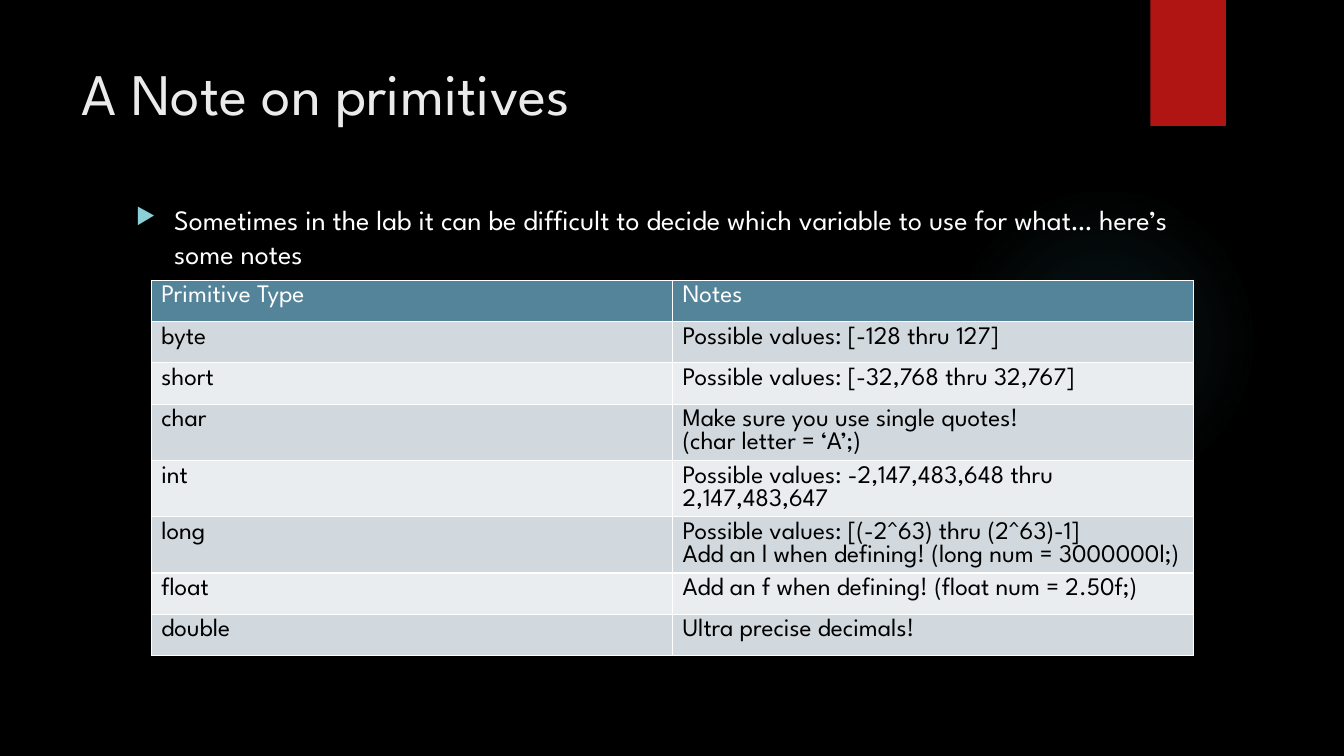
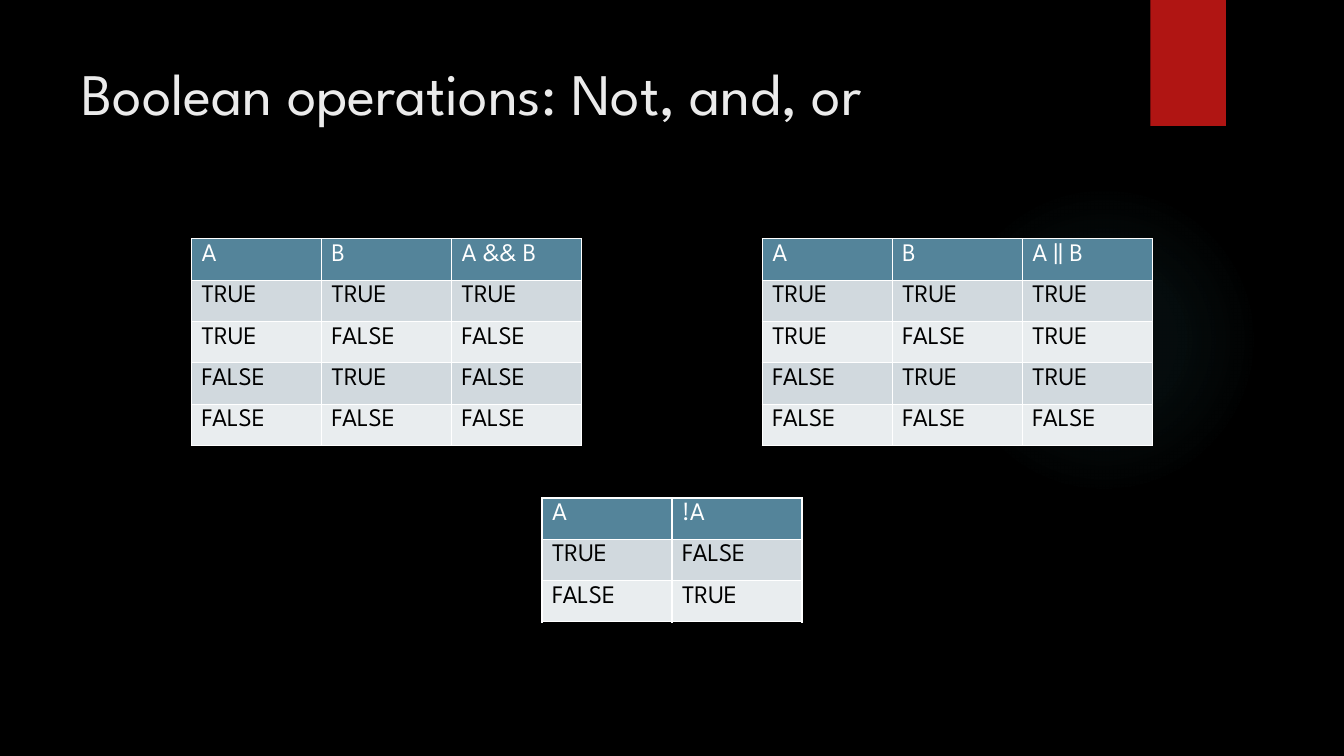
from dataclasses import dataclass

from lxml import etree
from pptx import Presentation
from pptx.dml.color import RGBColor
from pptx.enum.shapes import MSO_SHAPE
from pptx.enum.text import MSO_ANCHOR, MSO_AUTO_SIZE, PP_ALIGN
from pptx.oxml.ns import qn
from pptx.util import Inches, Pt

ELLIPSE, RECTANGLE = MSO_SHAPE.OVAL, MSO_SHAPE.RECTANGLE
TOP, LEFT, NO_FIT = MSO_ANCHOR.TOP, PP_ALIGN.LEFT, MSO_AUTO_SIZE.NONE

FONT = "League Spartan"
COLORS = {
    "background": "000000",
    "glow": "50B9C1",
    "ribbon": "B01513",
    "title": "EBEBEB",
    "light": "FFFFFF",
    "dark": "000000",
    "bullet": "8AD0D6",
    "header": "54849A",
    "odd row": "D1D9DE",
    "even row": "E9EDEF",
}
SLIDE_WIDTH, SLIDE_HEIGHT = 13.33, 7.5
ROW_HEIGHT = 0.41
TRUTH_COLUMN = 1.29
TRUTH_MARGIN = 1.9
TITLE_ONLY = 5


@dataclass(frozen=True)
class TextStyle:
    size: float
    leading: float
    color: str


@dataclass(frozen=True)
class Grid:
    left: float
    top: float
    column_width: float
    rows: tuple[tuple[str, ...], ...]


TITLE = TextStyle(42, 51, "title")
BODY = TextStyle(20, 24.3, "light")
HEADER_CELL = TextStyle(18, 16.5, "light")
BODY_CELL = TextStyle(18, 16.5, "dark")

PRIMITIVES = (
    ("Primitive Type", "Notes"),
    ("byte", "Possible values: [-128 thru 127]"),
    ("short", "Possible values: [-32,768 thru 32,767]"),
    ("char", "Make sure you use single quotes!\n(char letter = ‘A’;)"),
    ("int", "Possible values: -2,147,483,648 thru 2,147,483,647"),
    ("long", "Possible values: [(-2^63) thru (2^63)-1]\n"
             "Add an l when defining! (long num = 3000000l;)"),
    ("float", "Add an f when defining! (float num = 2.50f;)"),
    ("double", "Ultra precise decimals!"),
)


def rgb(name: str) -> RGBColor:
    return RGBColor.from_string(COLORS[name])


def add_xml(parent, tag: str, **attributes: str):
    return etree.SubElement(parent, qn(tag), attributes)


def write_text(frame, text: str, style: TextStyle) -> None:
    """Write one paragraph per line of text."""
    frame.word_wrap = True
    for index, line in enumerate(text.split("\n")):
        para = frame.add_paragraph() if index else frame.paragraphs[0]
        para.alignment = LEFT
        para.line_spacing = Pt(style.leading)
        span = para.add_run()
        span.text = line
        span.font.name = FONT
        span.font.size = Pt(style.size)
        span.font.color.rgb = rgb(style.color)


def add_plain_shape(page, kind, left: float, top: float, width: float, height: float):
    shape = page.shapes.add_shape(
        kind, Inches(left), Inches(top), Inches(width), Inches(height))
    shape.shadow.inherit = False
    shape.line.fill.background()
    return shape


def add_glow(page) -> None:
    glow = add_plain_shape(page, ELLIPSE, 9.41, 1.83, 3.08, 3.08)
    glow.fill.background()
    properties = glow.fill._xPr
    empty_fill = properties.find(qn("a:noFill"))
    gradient = etree.Element(qn("a:gradFill"), {"rotWithShape": "1"})
    stops = add_xml(gradient, "a:gsLst")
    for position, alpha in ((0, 7), (36, 6), (69, 0), (100, 0)):
        stop = add_xml(stops, "a:gs", pos=str(position * 1000))
        color = add_xml(stop, "a:srgbClr", val=COLORS["glow"])
        add_xml(color, "a:alpha", val=str(alpha * 1000))
    circle = add_xml(gradient, "a:path", path="circle")
    add_xml(circle, "a:fillToRect", l="50000", t="50000", r="50000", b="50000")
    properties.replace(empty_fill, gradient)


def add_page(deck, heading: str):
    """Add a slide with the shared glow, ribbon and title."""
    page = deck.slides.add_slide(deck.slide_layouts[TITLE_ONLY])
    add_glow(page)
    ribbon = add_plain_shape(page, RECTANGLE, 11.41, 0, 0.75, 1.25)
    ribbon.fill.solid()
    ribbon.fill.fore_color.rgb = rgb("ribbon")

    title = page.shapes.title
    title.left, title.top = Inches(0.71), Inches(0.5)
    title.width, title.height = Inches(10.29), Inches(1.53)
    title.text_frame.auto_size = NO_FIT
    title.text_frame.vertical_anchor = TOP
    write_text(title.text_frame, heading, TITLE)
    return page


def add_bullet_text(page, text: str) -> None:
    box = page.shapes.add_textbox(
        Inches(1.25), Inches(1.96), Inches(10.83), Inches(3.87))
    write_text(box.text_frame, text, BODY)
    properties = box.text_frame.paragraphs[0]._p.get_or_add_pPr()
    indent = Inches(0.38)
    properties.set("marL", str(indent))
    properties.set("indent", str(-indent))
    color = add_xml(properties, "a:buClr")
    add_xml(color, "a:srgbClr", val=COLORS["bullet"])
    add_xml(properties, "a:buSzPct", val="80000")
    add_xml(properties, "a:buChar", char="▶")


def style_cell(cell, text: str, style: TextStyle, fill: str) -> None:
    write_text(cell.text_frame, text, style)
    properties = cell._tc.get_or_add_tcPr()
    for side in ("a:lnL", "a:lnR", "a:lnT", "a:lnB"):
        border = add_xml(properties, side, w=str(Pt(1)))
        paint = add_xml(border, "a:solidFill")
        add_xml(paint, "a:srgbClr", val=COLORS["light"])
    cell.fill.solid()
    cell.fill.fore_color.rgb = rgb(fill)


def add_grid(page, grid: Grid) -> None:
    row_count, column_count = len(grid.rows), len(grid.rows[0])
    table = page.shapes.add_table(
        row_count, column_count, Inches(grid.left), Inches(grid.top),
        Inches(grid.column_width * column_count),
        Inches(ROW_HEIGHT * row_count)).table
    for row, texts in enumerate(grid.rows):
        style = BODY_CELL if row else HEADER_CELL
        fill = ("odd row" if row % 2 else "even row") if row else "header"
        for column, text in enumerate(texts):
            style_cell(table.cell(row, column), text, style, fill)


def truth_rows(heading: str, operation) -> tuple[tuple[str, ...], ...]:
    """List every pair of inputs with the result of the operation."""
    pairs = [(a, b) for a in (True, False) for b in (True, False)]
    body = [tuple(str(value).upper() for value in (a, b, operation(a, b)))
            for a, b in pairs]
    return (("A", "B", heading), *body)


def build_primitives(deck) -> None:
    page = add_page(deck, "A Note on primitives")
    add_bullet_text(page, "Sometimes in the lab it can be difficult to decide which "
                          "variable to use for what… here’s some notes")
    add_grid(page, Grid(1.5, 2.78, 5.17, PRIMITIVES))


def build_booleans(deck) -> None:
    page = add_page(deck, "Boolean operations: Not, and, or")
    right = SLIDE_WIDTH - TRUTH_MARGIN - 3 * TRUTH_COLUMN
    middle = SLIDE_WIDTH / 2 - TRUTH_COLUMN
    and_rows = truth_rows("A && B", lambda a, b: a and b)
    or_rows = truth_rows("A || B", lambda a, b: a or b)
    not_rows = (("A", "!A"), ("TRUE", "FALSE"), ("FALSE", "TRUE"))
    for grid in (
        Grid(TRUTH_MARGIN, 2.37, TRUTH_COLUMN, and_rows),
        Grid(right, 2.37, TRUTH_COLUMN, or_rows),
        Grid(middle, 4.94, TRUTH_COLUMN, not_rows),
    ):
        add_grid(page, grid)


def main() -> None:
    deck = Presentation()
    deck.slide_width, deck.slide_height = Inches(SLIDE_WIDTH), Inches(SLIDE_HEIGHT)
    background = deck.slide_master.background.fill
    background.solid()
    background.fore_color.rgb = rgb("background")
    build_primitives(deck)
    build_booleans(deck)
    deck.save("out.pptx")


if __name__ == "__main__":
    main()
